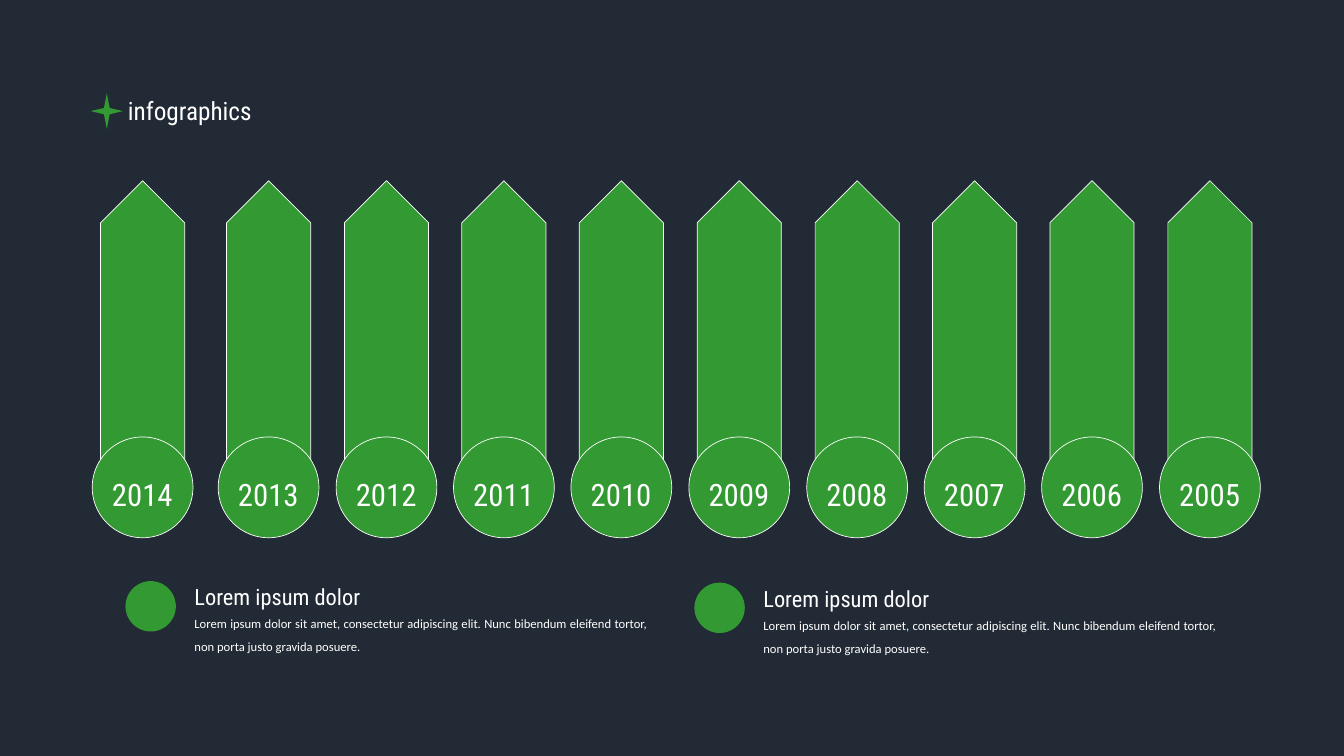
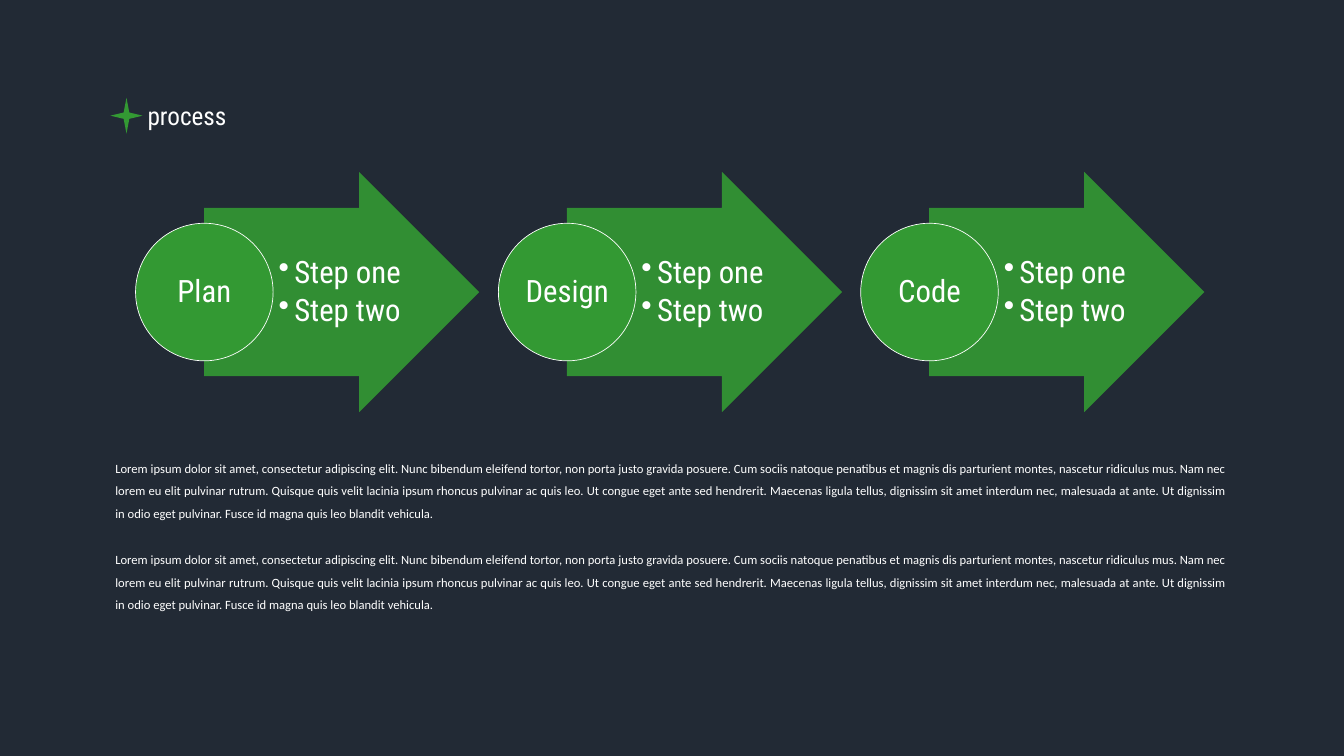
from dataclasses import dataclass

from lxml import etree
from pptx import Presentation
from pptx import util as u
from pptx.dml.color import RGBColor
from pptx.enum import shapes, text
from pptx.oxml.ns import qn

PX = 9144


@dataclass(frozen=True)
class Theme:
    background: RGBColor = RGBColor(0x22, 0x2A, 0x35)
    accent: RGBColor = RGBColor(0x33, 0x99, 0x33)
    light: RGBColor = RGBColor(0xFF, 0xFF, 0xFF)
    display_font: str = "Roboto Condensed"
    body_font: str = "Calibri"
    title_size: int = 36
    label_size: int = 44
    heading_size: int = 32
    body_size: int = 18


@dataclass(frozen=True)
class Box:
    left: int
    top: int
    width: int
    height: int

    def emu(self) -> tuple[int, ...]:
        return tuple(u.Emu(side * PX) for side in
                     (self.left, self.top, self.width, self.height))


@dataclass(frozen=True)
class TextStyle:
    font: str
    size: int
    align: text.PP_ALIGN | None = None
    line_spacing: float | None = None
    space_before: float = 0
    space_after: float = 0
    bullet_indent: int = 0
    insets: tuple[int, int, int, int] | None = None


@dataclass(frozen=True)
class LegendItem:
    left: int
    top: int
    heading: str
    body: str


@dataclass(frozen=True)
class ProcessStep:
    name: str
    tasks: tuple[str, ...]


THEME = Theme()
TITLE = TextStyle(THEME.display_font, THEME.title_size)
YEAR = TextStyle(THEME.display_font, THEME.label_size, text.PP_ALIGN.CENTER)
HEADING = TextStyle(THEME.display_font, THEME.heading_size)
BODY = TextStyle(THEME.body_font, THEME.body_size, text.PP_ALIGN.JUSTIFY, 1.5, space_before=33)
STEP_NAME = TextStyle(THEME.display_font, THEME.label_size, text.PP_ALIGN.CENTER, 0.9,
                      space_after=15.4, insets=(3, 3, 3, 3))
TASKS = TextStyle(THEME.display_font, THEME.label_size, None, 0.9,
                  space_after=6.6, bullet_indent=31, insets=(12, 3, 6, 3))

YEARS = range(2014, 2004, -1)
FIRST_YEAR_LEFT = 183
SECOND_YEAR_LEFT = 433
YEAR_PITCH = 233.5
STEP_PITCH = 719.5

SHORT_TEXT = ("Lorem ipsum dolor sit amet, consectetur adipiscing elit. "
              "Nunc bibendum eleifend tortor, non porta justo gravida posuere.")
LONG_TEXT = (SHORT_TEXT + " Cum sociis natoque penatibus et magnis dis parturient montes, "
             "nascetur ridiculus mus. Nam nec lorem eu elit pulvinar rutrum. Quisque quis velit "
             "lacinia ipsum rhoncus pulvinar ac quis leo. Ut congue eget ante sed hendrerit. "
             "Maecenas ligula tellus, dignissim sit amet interdum nec, malesuada at ante. "
             "Ut dignissim in odio eget pulvinar. Fusce id magna quis leo blandit vehicula.")

LEGEND = tuple(LegendItem(left, top, "Lorem ipsum dolor", SHORT_TEXT)
               for left, top in ((249, 1153), (1378, 1156)))
STEPS = tuple(ProcessStep(name, ("Step one", "Step two"))
              for name in ("Plan", "Design", "Code"))


def add_figure(container, kind: shapes.MSO_SHAPE, box: Box, outlined: bool = False):
    shape = container.add_shape(kind, *box.emu())
    shape.shadow.inherit = False
    shape.fill.solid()
    shape.fill.fore_color.rgb = THEME.accent
    if outlined:
        shape.line.color.rgb = THEME.light
        shape.line.width = u.Pt(1)
    else:
        shape.line.fill.background()
    return shape


def add_bullet(paragraph, indent: int) -> None:
    properties = paragraph._p.get_or_add_pPr()
    properties.set("marL", str(indent * PX))
    properties.set("indent", str(-indent * PX))
    etree.SubElement(properties, qn("a:buChar")).set("char", "•")


def add_text(container, box: Box, lines: tuple[str, ...], style: TextStyle) -> None:
    frame = container.add_textbox(*box.emu()).text_frame
    frame.word_wrap = True
    if style.insets:
        frame.vertical_anchor = text.MSO_ANCHOR.MIDDLE
        (frame.margin_left, frame.margin_top, frame.margin_right,
         frame.margin_bottom) = (u.Emu(inset * PX) for inset in style.insets)
    else:
        frame.auto_size = text.MSO_AUTO_SIZE.SHAPE_TO_FIT_TEXT
    for index, line in enumerate(lines):
        paragraph = frame.add_paragraph() if index else frame.paragraphs[0]
        paragraph.text = line
        if style.bullet_indent:
            paragraph.level = 1
            add_bullet(paragraph, style.bullet_indent)
        paragraph.alignment = style.align
        paragraph.line_spacing = style.line_spacing
        if index and style.space_before:
            paragraph.space_before = u.Pt(style.space_before)
        if style.space_after:
            paragraph.space_after = u.Pt(style.space_after)
        paragraph.font.name = style.font
        paragraph.font.size = u.Pt(style.size)
        paragraph.font.color.rgb = THEME.light


def add_titled_slide(presentation, title: str, left: int, top: int):
    slide = presentation.slides.add_slide(presentation.slide_layouts[6])
    slide.background.fill.solid()
    slide.background.fill.fore_color.rgb = THEME.background
    add_text(slide.shapes, Box(left + 64, top, 397, 71), (title,), TITLE)
    add_figure(slide.shapes, shapes.MSO_SHAPE.STAR_4_POINT, Box(left, top, 64, 71))
    return slide


def add_year(container, year: int, left: int) -> None:
    length, thickness, diameter = 622, 167, 200
    center = left + diameter // 2
    pillar = add_figure(container, shapes.MSO_SHAPE.PENTAGON,
                        Box(center - length // 2, 586, length, thickness), outlined=True)
    pillar.rotation = 270
    add_figure(container, shapes.MSO_SHAPE.OVAL, Box(left, 867, diameter, diameter), outlined=True)
    add_text(container, Box(left + 16, 938, 167, 84), (str(year),), YEAR)


def add_legend_item(container, item: LegendItem) -> None:
    text_left = item.left + 127
    add_text(container, Box(text_left, item.top + 50, 919, 101), (item.body,), BODY)
    add_figure(container, shapes.MSO_SHAPE.OVAL, Box(item.left, item.top, 100, 100))
    add_text(container, Box(text_left, item.top, 397, 64), (item.heading,), HEADING)


def add_step(container, step: ProcessStep, left: int) -> None:
    arrow = add_figure(container, shapes.MSO_SHAPE.RIGHT_ARROW, Box(left + 136, 341, 546, 477))
    arrow.adjustments[0] = 0.7
    arrow.adjustments[1] = 0.5
    color = arrow.fill._xPr.find(qn("a:solidFill"))[0]
    etree.SubElement(color, qn("a:alpha")).set("val", "90000")
    add_text(container, Box(left + 272, 413, 266, 334), step.tasks, TASKS)
    add_figure(container, shapes.MSO_SHAPE.OVAL, Box(left, 443, 273, 273), outlined=True)
    add_text(container, Box(left + 40, 483, 193, 193), (step.name,), STEP_NAME)


def build_infographics(presentation) -> None:
    slide = add_titled_slide(presentation, "infographics", 180, 185)
    for item in LEGEND:
        add_legend_item(slide.shapes, item)
    for index, year in enumerate(YEARS):
        left = SECOND_YEAR_LEFT + round((index - 1) * YEAR_PITCH) if index else FIRST_YEAR_LEFT
        add_year(slide.shapes, year, left)


def build_process(presentation) -> None:
    slide = add_titled_slide(presentation, "process", 219, 194)
    add_text(slide.shapes, Box(219, 894, 2225, 374), (LONG_TEXT, LONG_TEXT), BODY)
    diagram = slide.shapes.add_group_shape()
    for index, step in enumerate(STEPS):
        add_step(diagram.shapes, step, 269 + round(index * STEP_PITCH))


def main() -> None:
    presentation = Presentation()
    presentation.slide_width = u.Emu(2667 * PX)
    presentation.slide_height = u.Emu(1500 * PX)
    build_infographics(presentation)
    build_process(presentation)
    presentation.save("out.pptx")


if __name__ == "__main__":
    main()
